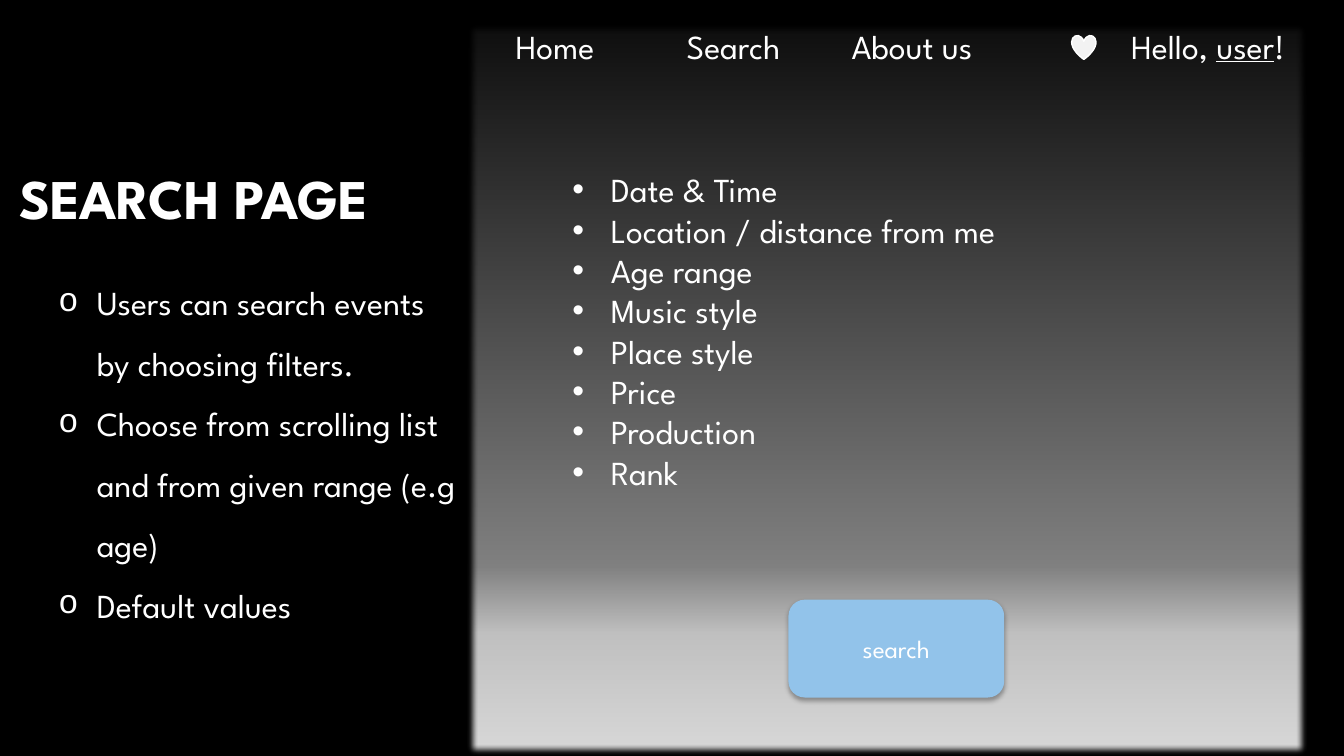
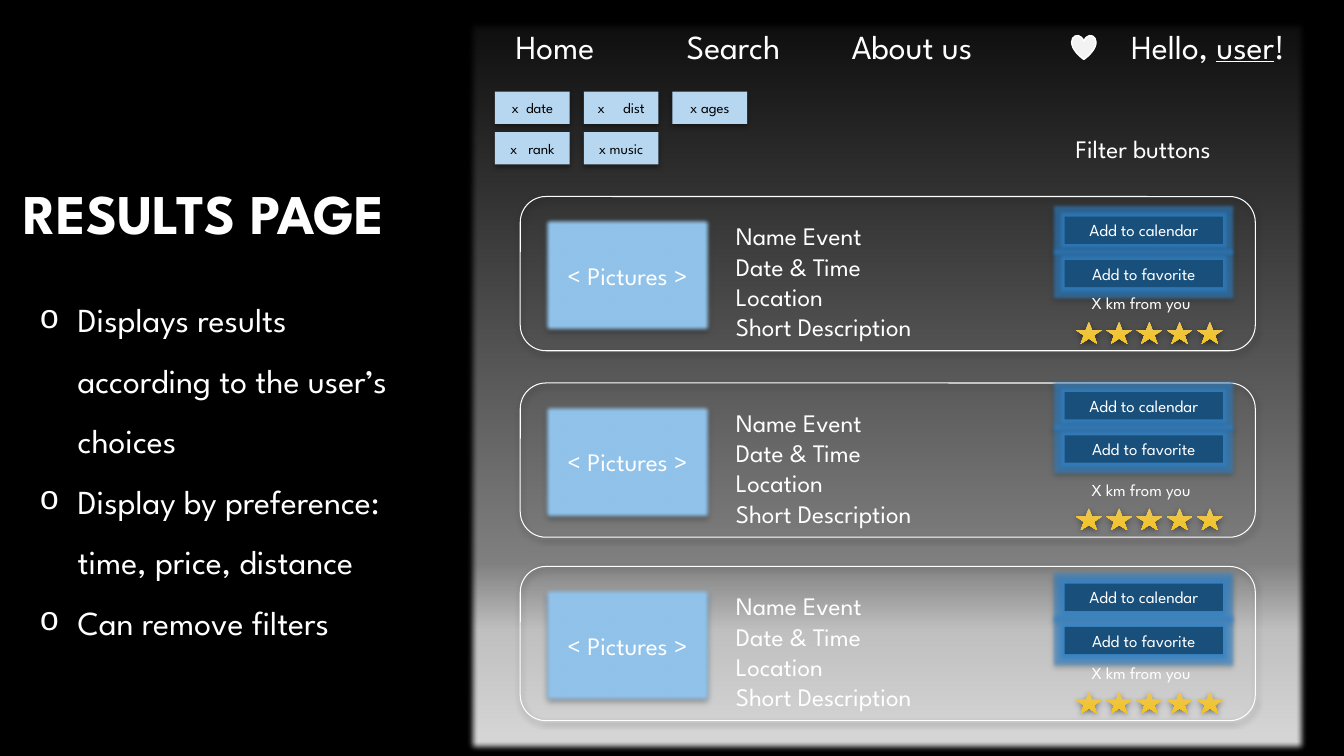
from dataclasses import dataclass

from lxml.etree import SubElement
from pptx import Presentation
from pptx.dml.color import RGBColor
from pptx.enum.shapes import MSO_SHAPE as Preset
from pptx.enum.text import MSO_ANCHOR as Anchor, MSO_AUTO_SIZE as AutoSize, PP_ALIGN as Align
from pptx.oxml.ns import qn
from pptx.util import Inches, Pt


@dataclass(frozen=True)
class Theme:
    font: str = "League Spartan"
    # Colours
    background: str = "000000"
    text: str = "FFFFFF"
    chip_text: str = "000000"
    heart: str = "F2F2F2"
    light_blue: str = "92C3EA"
    chip: str = "B7D7F1"
    dark_blue: str = "184F7B"
    glow: str = "2E86D0"
    panel: tuple = ((0, "0D0D0D"), (74, "808080"), (83, "BFBFBF"), (100, "D9D9D9"))
    star: tuple = ((0, "EBC659"), (78, "F2C42C"))
    # Type sizes
    title_size: float = 40
    body_size: float = 24
    label_size: float = 18
    small_size: float = 12
    chip_size: float = 10.5
    # Shadows: opacity in percent, blur and distance in points
    raised: tuple = (32, 3.5, 2.2)
    outlined: tuple = (48, 4.5, 1.5)


def box(left, top, width, height):
    return [Inches(value) for value in (left, top, width, height)]


def add_color(parent, color, opacity=100):
    element = SubElement(parent, qn("a:srgbClr"), val=color)
    if opacity < 100:
        SubElement(element, qn("a:alpha"), val=str(opacity * 1000))


class Deck:
    def __init__(self, theme):
        self.theme = theme
        self.presentation = Presentation()
        self.presentation.slide_width = Inches(13.33)
        self.presentation.slide_height = Inches(7.5)
        fill = self.presentation.slide_master.background.fill
        fill.solid()
        fill.fore_color.rgb = RGBColor.from_string(theme.background)
        self.slide = self.shapes = None

    # Slide frame: title, panel and navigation bar
    def new_slide(self, title, title_left, title_top, panel_top):
        theme = self.theme
        layout = self.presentation.slide_layouts[1]
        self.slide = self.presentation.slides.add_slide(layout)
        self.shapes = self.slide.shapes
        placeholder = self.shapes.title
        self.place(placeholder, title_left, title_top, 9.42, 1.41)
        frame = placeholder.text_frame
        frame.text = title
        frame.vertical_anchor = Anchor.MIDDLE
        frame.paragraphs[0].line_spacing = 0.9
        self.style(frame, theme.title_size, bold=True)

        self.shape(Preset.RECTANGLE, 4.62, panel_top, 8.37, 7.31,
                   gradient=theme.panel, soft_edge=5)
        for index, label in enumerate(("Home", "Search", "About us")):
            self.text([label], 4.62 + 1.77 * index, 0.21, 1.77, 0.5, align=Align.CENTER)
        greeting = self.text(["Hello, "], 10.97, 0.21, 2.02, 0.5, align=Align.CENTER)
        paragraph = greeting.text_frame.paragraphs[0]
        for part in ("user", "!"):
            run = paragraph.add_run()
            run.text = part
            run.font.underline = part == "user"
        self.style(greeting.text_frame, theme.body_size, align=Align.CENTER)
        self.shape(Preset.HEART, 10.63, 0.35, 0.24, 0.24, fill=theme.heart, line=1)

    def place(self, shape, *position):
        shape.left, shape.top, shape.width, shape.height = box(*position)

    # Text
    def style(self, frame, size, color=None, align=Align.LEFT, bold=False):
        for paragraph in frame.paragraphs:
            paragraph.alignment = align
            for run in paragraph.runs:
                run.font.name = self.theme.font
                run.font.size = Pt(size)
                run.font.bold = bold
                run.font.color.rgb = RGBColor.from_string(color or self.theme.text)

    def text(self, lines, *position, size=None, align=Align.LEFT):
        shape = self.shapes.add_textbox(*box(*position))
        frame = shape.text_frame
        frame.word_wrap = True
        frame.text = "\n".join(lines)
        self.style(frame, size or self.theme.body_size, align=align)
        return shape

    def bullets(self, frame, character, font):
        for paragraph in frame.paragraphs:
            properties = paragraph._p.get_or_add_pPr()
            properties.set("marL", str(Inches(0.38)))
            properties.set("indent", str(-Inches(0.38)))
            SubElement(properties, qn("a:buFont"), typeface=font)
            SubElement(properties, qn("a:buChar"), char=character)

    def body_list(self, lines, *position):
        placeholder = self.slide.placeholders[1]
        self.place(placeholder, *position)
        frame = placeholder.text_frame
        frame.auto_size = AutoSize.NONE
        frame.text = "\n".join(lines)
        for paragraph in frame.paragraphs:
            paragraph.line_spacing = 1.5
            paragraph.space_before = Pt(0)
        self.style(frame, self.theme.body_size)
        self.bullets(frame, "o", "Courier New")

    # Shapes and their effects
    def shape(self, preset, *position, fill=None, gradient=None, line=None,
              shadow=None, glow=None, soft_edge=None):
        shape = self.shapes.add_shape(preset, *box(*position))
        shape.shadow.inherit = False
        if gradient:
            self.gradient(shape, gradient)
        elif fill:
            shape.fill.solid()
            shape.fill.fore_color.rgb = RGBColor.from_string(fill)
        else:
            shape.fill.background()
        if line:
            shape.line.color.rgb = RGBColor.from_string(self.theme.text)
            shape.line.width = Pt(line)
        else:
            shape.line.fill.background()
        self.effects(shape, shadow, glow, soft_edge)
        return shape

    def gradient(self, shape, stops):
        shape.fill.gradient()
        shape.fill.gradient_angle = 270
        stop_list = shape._element.spPr.find(".//" + qn("a:gsLst"))
        for stop in list(stop_list):
            stop_list.remove(stop)
        for position, color in stops:
            add_color(SubElement(stop_list, qn("a:gs"), pos=str(position * 1000)), color)

    def effects(self, shape, shadow, glow, soft_edge):
        effect_list = shape._element.spPr.find(qn("a:effectLst"))
        if glow:
            add_color(SubElement(effect_list, qn("a:glow"), rad=str(Pt(glow))),
                      self.theme.glow, 60)
        if shadow:
            opacity, blur, distance = shadow
            outer = SubElement(effect_list, qn("a:outerShdw"), blurRad=str(Pt(blur)),
                               dist=str(Pt(distance)), dir="5400000", rotWithShape="0")
            add_color(outer, "000000", opacity)
        if soft_edge:
            SubElement(effect_list, qn("a:softEdge"), rad=str(Pt(soft_edge)))

    def button(self, label, *position, size, fill, preset=Preset.RECTANGLE, **effects):
        shape = self.shape(preset, *position, fill=fill, shadow=self.theme.raised, **effects)
        frame = shape.text_frame
        frame.text = label
        frame.vertical_anchor = Anchor.MIDDLE
        self.style(frame, size, align=Align.CENTER)
        return shape

    def chip(self, label, gap, left, top):
        """Filter chip; gap is extra space in points after the x."""
        theme = self.theme
        shape = self.button("x", left, top, 0.74, 0.32, size=theme.chip_size, fill=theme.chip)
        paragraph = shape.text_frame.paragraphs[0]
        space, name = paragraph.add_run(), paragraph.add_run()
        space.text, name.text = " ", label
        self.style(shape.text_frame, theme.chip_size, theme.chip_text, Align.CENTER)
        if gap:
            space.font._element.set("spc", str(int(gap * 100)))

    # Result card, grouped
    def result_card(self, top, button_offset):
        theme = self.theme
        self.shapes = self.slide.shapes.add_group_shape().shapes
        self.shape(Preset.ROUNDED_RECTANGLE, 5.16, top, 7.29, 1.53,
                   line=0.75, shadow=theme.outlined)
        self.button("< Pictures >", 5.37, top + 0.19, 1.71, 1.18,
                    size=theme.label_size, fill=theme.light_blue, soft_edge=3.5)
        self.text(["Name Event", "Date & Time", "Location", "Short Description"],
                  7.2, top + 0.19, 3.77, 1.31, size=theme.label_size)
        for index in range(5):
            self.shape(Preset.STAR_5_POINT, 10.67 + 0.3 * index, top + 1.24, 0.26, 0.22,
                       gradient=theme.star, shadow=theme.outlined)
        for index, label in enumerate(("Add to calendar", "Add to favorite")):
            self.button(label, 10.56, top + button_offset + 0.43 * index, 1.57, 0.27,
                        size=theme.small_size, fill=theme.dark_blue, glow=5)
        # The distance stays in front of the button glow
        self.text(["X km from you"], 10.73, top + 0.91, 1.37, 0.3, size=theme.small_size)
        self.shapes = self.slide.shapes


def search_page(deck):
    theme = deck.theme
    deck.new_slide("SEARCH PAGE", 0.09, 1.29, panel_top=0.21)
    deck.body_list(["Users can search events by choosing filters.",
                    "Choose from scrolling list and from given range (e.g age)",
                    "Default values"], 0.48, 2.55, 4.15, 4.27)
    filters = deck.text(["Date & Time", "Location / distance from me", "Age range",
                         "Music style", "Place style", "Price", "Production", "Rank"],
                        5.58, 1.63, 6.63, 3.33, align=Align.JUSTIFY)
    deck.bullets(filters.text_frame, "•", "Arial")
    deck.button("search", 7.82, 5.95, 2.14, 0.97, size=theme.label_size,
                fill=theme.light_blue, preset=Preset.ROUNDED_RECTANGLE)


def results_page(deck):
    deck.new_slide("RESULTS PAGE", 0.13, 1.44, panel_top=0.18)
    deck.body_list(["Displays results according to the user’s choices",
                    "Display by preference: time, price, distance",
                    "Can remove filters"], 0.29, 2.72, 3.95, 4.27)
    deck.text(["Filter buttons"], 10.57, 1.27, 1.75, 0.4, size=deck.theme.label_size)

    # Active filters, three to a row
    chips = (("date", 2.6), ("dist", 10.5), ("ages", 0), ("rank", 5.2), ("music", 0))
    for index, (label, gap) in enumerate(chips):
        row, column = divmod(index, 3)
        deck.chip(label, gap, 4.91 + 0.88 * column, 0.91 + 0.4 * row)

    for top, button_offset in ((1.95, 0.2), (3.8, 0.09), (5.62, 0.17)):
        deck.result_card(top, button_offset)


def main():
    deck = Deck(Theme())
    search_page(deck)
    results_page(deck)
    deck.presentation.save("out.pptx")


if __name__ == "__main__":
    main()
